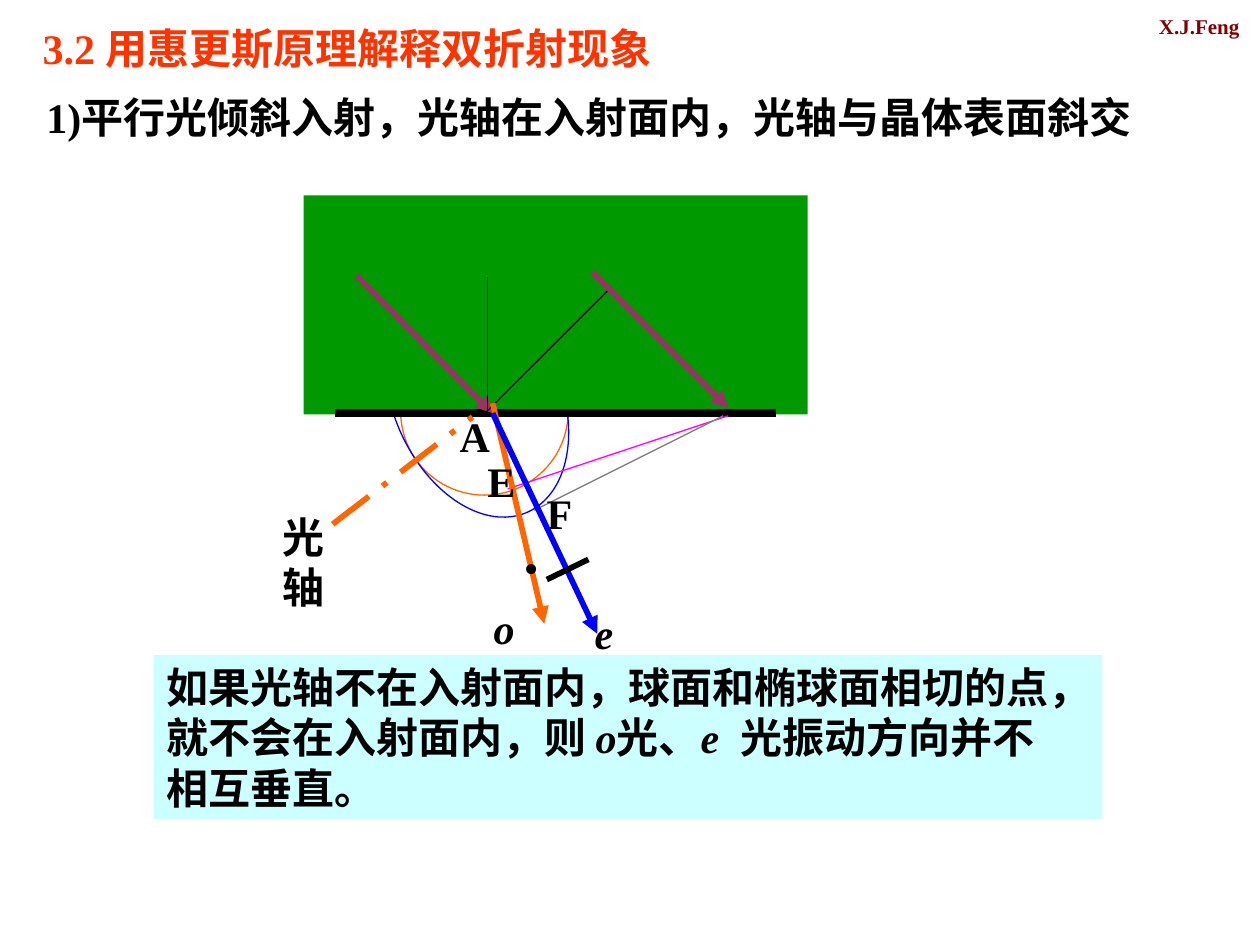
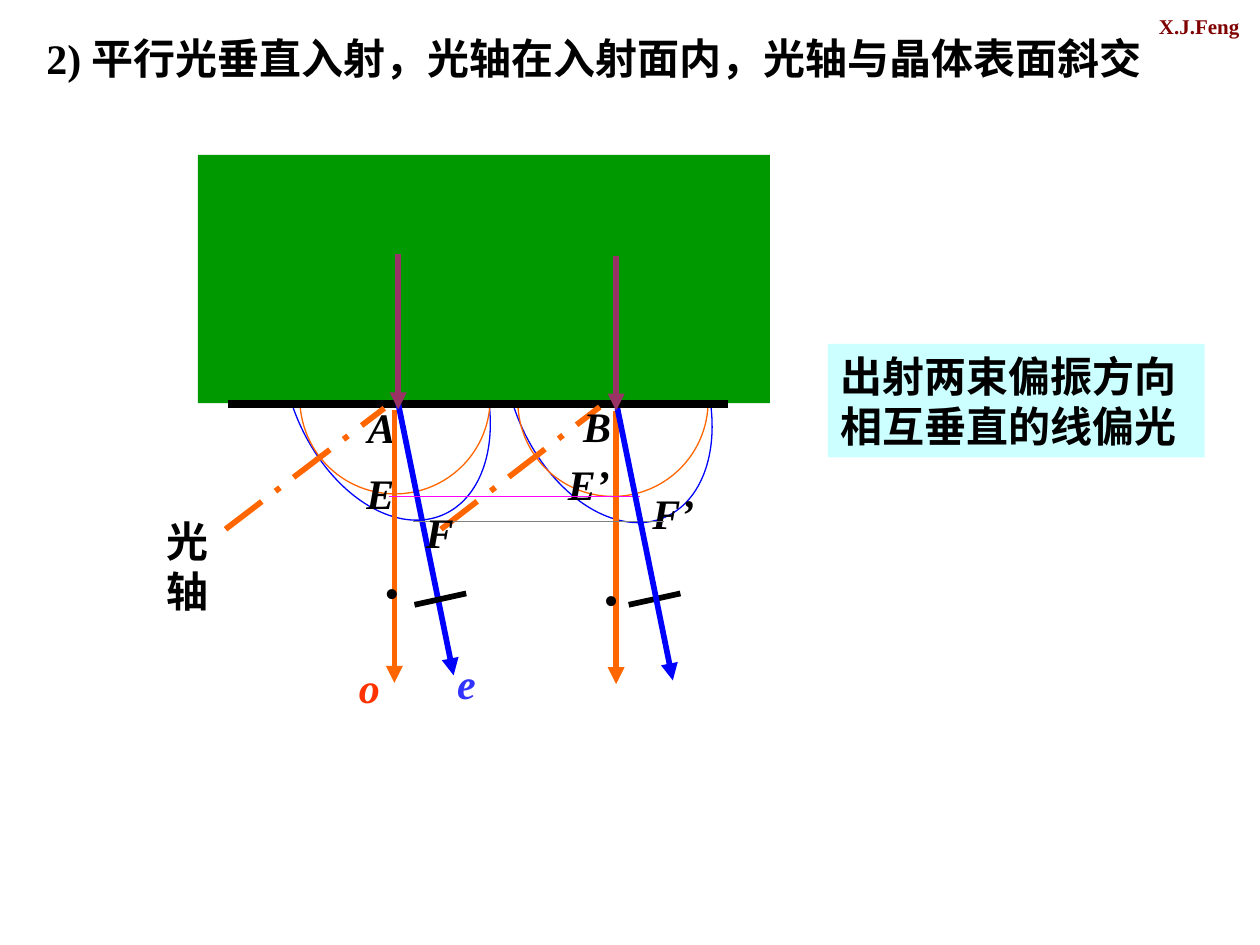
"""Two slides on explaining birefringence with Huygens' principle."""
from lxml import etree
from pptx import Presentation
from pptx.dml.color import RGBColor
from pptx.enum.dml import MSO_LINE
from pptx.enum.shapes import MSO_CONNECTOR, MSO_SHAPE
from pptx.enum.text import MSO_AUTO_SIZE
from pptx.oxml.ns import qn
from pptx.util import Inches, Pt

STRAIGHT = MSO_CONNECTOR.STRAIGHT
OVAL, RECT = MSO_SHAPE.OVAL, MSO_SHAPE.RECTANGLE
DASH_DOT = MSO_LINE.LONG_DASH_DOT
GROW = MSO_AUTO_SIZE.SHAPE_TO_FIT_TEXT

FONT = "Times New Roman"
BLACK, RED, MAROON = "000000", "FF3300", "800000"
ORANGE, BLUE, PURPLE = "FF6600", "0000FF", "993366"
GREEN, PALE, MAGENTA, GREY, E_BLUE = "009900", "CCFFFF", "FF00FF", "808080", "3333FF"
THIN, BOLD, SURFACE = 0.75, 3.25, 4.5
E_WAVE_TILT = 336.3
LINE_H = 0.5

LINES = {
    "surface": dict(color=BLACK, width=SURFACE),
    "incident": dict(color=PURPLE, width=BOLD, arrow=True),
    "o ray": dict(color=ORANGE, width=BOLD, arrow=True),
    "e ray": dict(color=BLUE, width=BOLD, arrow=True),
    "axis": dict(color=ORANGE, width=BOLD, dash=DASH_DOT),
    "guide": dict(color=BLACK, width=THIN),
    "o front": dict(color=MAGENTA, width=THIN),
    "e front": dict(color=GREY, width=THIN),
    "vibration": dict(color=BLACK, width=BOLD),
}
LABEL = dict(h=LINE_H, wrap=False)
TEXTS = {
    "title": dict(h=LINE_H, wrap=False, color=RED),
    "heading": dict(h=LINE_H),
    "label": LABEL,
    "italic": dict(LABEL, italic=True),
    "o name": dict(LABEL, italic=True, color=RED),
    "e name": dict(LABEL, italic=True, color=E_BLUE),
    "dot": dict(LABEL, bold=False),
    "italic dot": dict(LABEL, bold=False, italic=True),
    "note": dict(fill=PALE),
    "fixed note": dict(fill=PALE, wrap=False),
}
NOTE = [
    ["如果光轴不在入射面内，球面和椭球面相切的点，"],
    ["就不会在入射面内，则 ", ("o",), "光、", ("e  ",), "光振动方向并不"],
    ["相互垂直。"],
]

OBLIQUE = [
    ("title", "3.2 用惠更斯原理解释双折射现象", 0.24, 0.13, 5.11),
    ("heading", "1)平行光倾斜入射，光轴在入射面内，光轴与晶体表面斜交", 0.27, 0.68, 9.06),
    ("o wave", 3.18, 2.6, 1.33, 1.33),
    ("e wave", 3.12, 2.16, 1.33, 1.99),
    ("medium", 2.41, 1.55, 4, 1.74),
    ("surface", 2.66, 3.28, 6.16, 3.28),
    ("incident", 2.83, 2.19, 3.91, 3.28),
    ("guide", 3.86, 3.27, 4.85, 2.28),
    ("axis", 2.64, 4.16, 3.75, 3.31),
    ("guide", 3.87, 2.2, 3.87, 3.28),
    ("label", "光轴", 2.14, 4.01, 0.86),
    ("o front", 4.03, 3.88, 5.78, 3.3),
    ("e front", 4.24, 4.05, 5.74, 3.3),
    ("incident", 4.7, 2.16, 5.78, 3.24),
    ("o ray", 3.91, 3.2, 4.32, 4.95),
    ("label", "A", 3.55, 3.21, 0.44),
    ("label", "F", 4.24, 3.82, 0.4),
    ("label", "E", 3.77, 3.57, 0.42),
    ("e ray", 3.91, 3.28, 4.74, 5.03),
    ("italic", "e", 4.62, 4.77, 0.35),
    ("italic", "o", 3.82, 4.73, 0.36),
    ("dot", "•", 4.06, 4.25, 0.31),
    ("vibration", 4.34, 4.6, 4.67, 4.44),
    ("fixed note", NOTE, 1.22, 5.2, 7.53, 1.3),
]
NORMAL = [
    ("e wave", 2.31, 1.92, 1.51, 2.26),
    ("e wave", 4.07, 1.94, 1.51, 2.26),
    ("o wave", 4.11, 2.43, 1.51, 1.51),
    ("o wave", 2.38, 2.41, 1.51, 1.51),
    ("medium", 1.57, 1.23, 4.54, 1.97),
    ("heading", "2) 平行光垂直入射，光轴在入射面内，光轴与晶体表面斜交", 0.27, 0.21, 9.45),
    ("surface", 1.81, 3.21, 5.78, 3.21),
    ("axis", 1.79, 4.2, 3.05, 3.24),
    ("label", "光轴", 1.22, 4.04, 0.86),
    ("italic", "A", 2.82, 3.14, 0.42),
    ("italic", "E", 2.81, 3.66, 0.42),
    ("o ray", 3.13, 3.25, 3.13, 5.42),
    ("e ray", 3.16, 3.2, 3.6, 5.36),
    ("o name", "o", 2.75, 5.2, 0.36),
    ("italic dot", "•", 2.95, 4.45, 0.31),
    ("vibration", 3.29, 4.8, 3.7, 4.71),
    ("e name", "e", 3.53, 5.17, 0.35),
    ("axis", 3.5, 4.2, 4.76, 3.23),
    ("italic", "B", 4.53, 3.13, 0.42),
    ("italic", "F’", 5.08, 3.82, 0.53),
    ("italic", "E’", 4.41, 3.59, 0.53),
    ("o ray", 4.89, 3.26, 4.89, 5.43),
    ("italic dot", "•", 4.69, 4.5, 0.31),
    ("vibration", 4.99, 4.8, 5.4, 4.71),
    ("o front", 3.09, 3.94, 5.08, 3.94),
    ("e front", 3.28, 4.14, 5.27, 4.14),
    ("e ray", 4.9, 3.24, 5.34, 5.4),
    ("italic", "F", 3.28, 3.97, 0.42),
    ("note", "出射两束偏振方向相互垂直的线偏光", 6.57, 2.73, 2.99, 0.9),
    ("incident", 3.16, 2.02, 3.16, 3.25),
    ("incident", 4.89, 2.03, 4.89, 3.26),
]


def rgb(value):
    return RGBColor.from_string(value)


def add_text(s, text, x, y, w, h, size=24, color=BLACK, bold=True, italic=False,
             wrap=True, fill=None):
    sp = s.shapes.add_textbox(Inches(x), Inches(y), Inches(w), Inches(h))
    if fill:
        sp.fill.solid()
        sp.fill.fore_color.rgb = rgb(fill)
    tf = sp.text_frame
    tf.word_wrap = wrap
    tf.auto_size = GROW
    rows = [[text]] if isinstance(text, str) else text
    for i, row in enumerate(rows):
        p = tf.add_paragraph() if i else tf.paragraphs[0]
        for part in row:
            emphasised = isinstance(part, tuple)
            r = p.add_run()
            r.text = part[0] if emphasised else part
            r.font.name, r.font.size = FONT, Pt(size)
            r.font.bold, r.font.italic = bold, italic or emphasised
            r.font.color.rgb = rgb(color)


def add_line(s, x1, y1, x2, y2, color, width, dash=None, arrow=False):
    c = s.shapes.add_connector(STRAIGHT, Inches(x1), Inches(y1), Inches(x2), Inches(y2))
    c.line.color.rgb = rgb(color)
    c.line.width = Pt(width)
    if dash:
        c.line.dash_style = dash
    props = c._element.spPr
    if arrow:
        etree.SubElement(props.find(qn("a:ln")), qn("a:tailEnd"), type="triangle")
    etree.SubElement(props, qn("a:effectLst"))


def add_area(s, kind, x, y, w, h):
    preset = RECT if kind == "medium" else OVAL
    sp = s.shapes.add_shape(preset, Inches(x), Inches(y), Inches(w), Inches(h))
    sp.shadow.inherit = False
    if kind == "medium":
        sp.fill.solid()
        sp.fill.fore_color.rgb = rgb(GREEN)
        sp.line.fill.background()
        return
    sp.fill.background()
    sp.line.color.rgb = rgb(BLUE if kind == "e wave" else ORANGE)
    sp.line.width = Pt(THIN)
    if kind == "e wave":
        sp.rotation = E_WAVE_TILT


def add_slide(prs, items):
    s = prs.slides.add_slide(prs.slide_layouts[6])
    add_text(s, "X.J.Feng", 9.1, 0.06, 0.87, 0.3, size=12, color=MAROON)
    for kind, *args in items:
        if kind in LINES:
            add_line(s, *args, **LINES[kind])
        elif kind in TEXTS:
            add_text(s, *args, **TEXTS[kind])
        else:
            add_area(s, kind, *args)


def main():
    prs = Presentation()
    prs.slide_width, prs.slide_height = Inches(10), Inches(7.5)
    for items in (OBLIQUE, NORMAL):
        add_slide(prs, items)
    prs.save("out.pptx")


if __name__ == "__main__":
    main()
